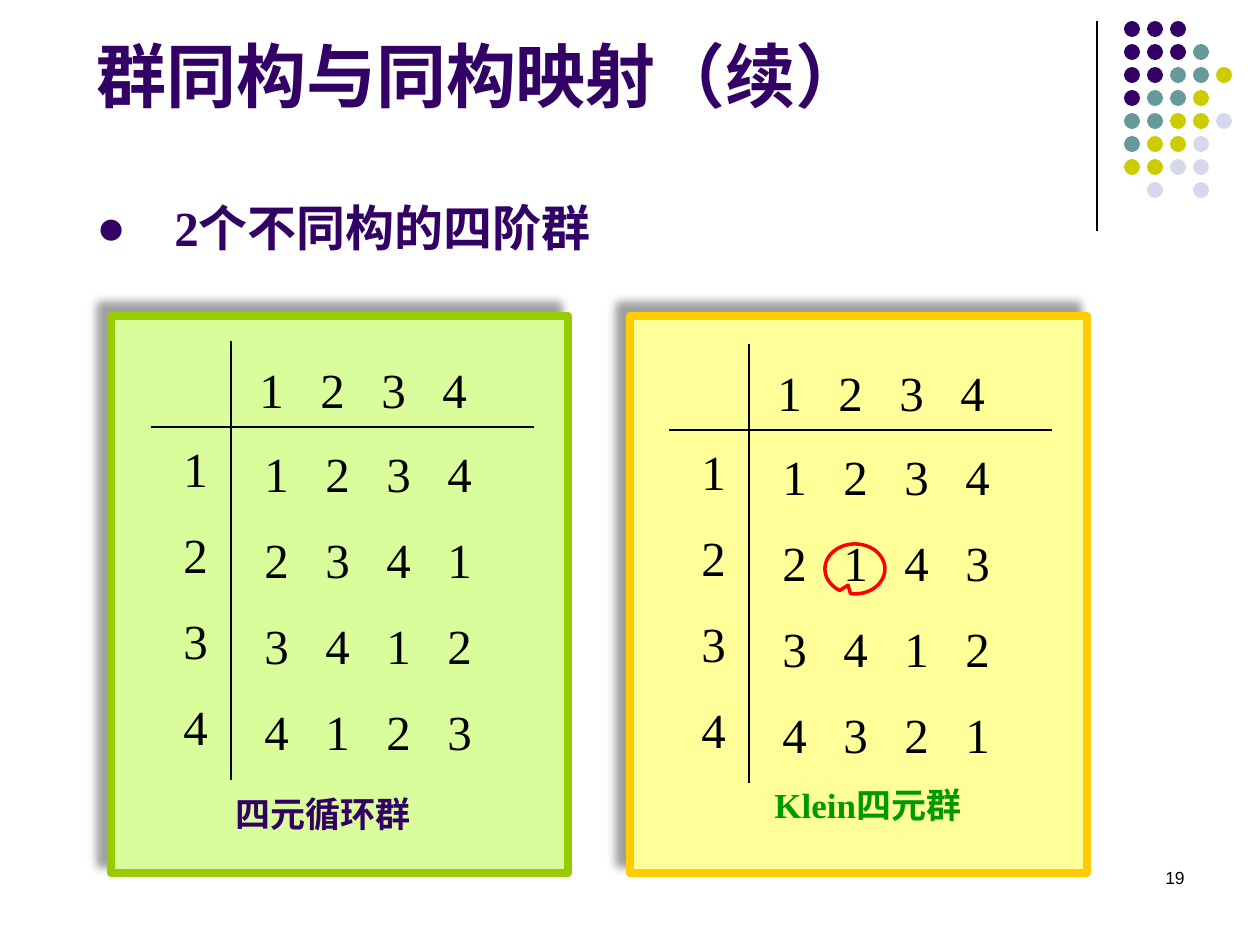
"""Build a slide comparing the two non-isomorphic groups of order four."""
from lxml.etree import SubElement
from pptx import Presentation
from pptx.dml.color import RGBColor
from pptx.enum.shapes import MSO_CONNECTOR, MSO_SHAPE
from pptx.enum.text import MSO_ANCHOR, PP_ALIGN
from pptx.oxml.ns import qn
from pptx.util import Emu, Pt

TITLE = "群同构与同构映射（续）"
HEADING = "2个不同构的四阶群"
PAGE = "19"
ELEMENTS = ["1", "2", "3", "4"]
GROUPS = [
    {"panel": 111, "grid": (151, 341), "fill": "DAFD9B", "line": "99CC00",
     "rows": ["1234", "2341", "3412", "4123"],
     "caption": "四元循环群", "caption_at": (223, 786), "caption_color": "330066"},
    {"panel": 630, "grid": (669, 344), "fill": "FFFF99", "line": "FFCC00",
     "rows": ["1234", "2143", "3412", "4321"],
     "caption": "Klein四元群", "caption_at": (762, 777), "caption_color": "009900"},
]
DOTS = ["PPP", "PPPT", "PPTTY", "PTTY", "TTYYL", "TYYL", "YYLL", " L L"]
THEME = {
    "P": "330066", "T": "669999", "Y": "CCCC00", "L": "D8D8EC",
    "ink": "000000", "mark": "FF0000", "shadow": "808080",
    "title": 40, "body": 28, "caption": 20, "page": 10,
    "serif": "Times New Roman", "sans": "Arial", "cjk": "Noto Sans CJK SC",
}
PX = 914400 / 126
ROW_GAP = 15.6
COLUMN_PITCH = 61


def px(value):
    return Emu(round(value * PX))


def color(value):
    return RGBColor.from_string(value)


def add_text(slide, box, lines, size, fill, font=THEME["serif"], bold=False,
             anchor=MSO_ANCHOR.TOP, align=PP_ALIGN.LEFT, bullet=False, tabs=()):
    text_frame = slide.shapes.add_textbox(*map(px, box)).text_frame
    text_frame.word_wrap = True
    text_frame.vertical_anchor = anchor
    text_frame.text = "\n".join(lines)
    for index, paragraph in enumerate(text_frame.paragraphs):
        paragraph.alignment = align
        if index:
            paragraph.space_before = Pt(ROW_GAP)
        properties = paragraph._p.get_or_add_pPr()
        if bullet:
            properties.set("marL", str(px(78)))
            properties.set("indent", str(px(-78)))
            SubElement(properties, qn("a:buFont"), typeface=THEME["sans"])
            SubElement(properties, qn("a:buChar"), char="●")
        if tabs:
            tab_list = SubElement(properties, qn("a:tabLst"))
            for position in tabs:
                SubElement(tab_list, qn("a:tab"), pos=str(px(position)), algn="l")
        for run in paragraph.runs:
            run.font.size = Pt(size)
            run.font.bold = bold
            run.font.color.rgb = color(fill)
            run.font.name = font
            SubElement(run._r.get_or_add_rPr(), qn("a:ea"), typeface=THEME["cjk"])


def add_line(slide, *ends):
    line = slide.shapes.add_connector(MSO_CONNECTOR.STRAIGHT, *map(px, ends))
    line.line.color.rgb = color(THEME["ink"])
    line.line.width = Pt(0.75)
    SubElement(line._element.spPr, qn("a:effectLst"))


def add_shape(slide, kind, box, fill=None, line=None, width=0):
    shape = slide.shapes.add_shape(kind, *map(px, box))
    shape.shadow.inherit = False
    if fill:
        shape.fill.solid()
        shape.fill.fore_color.rgb = color(fill)
    else:
        shape.fill.background()
    if line:
        shape.line.color.rgb = color(line)
        shape.line.width = Pt(width)
    else:
        shape.line.fill.background()
    return shape


def add_panel(slide, group):
    panel = add_shape(slide, MSO_SHAPE.RECTANGLE, (group["panel"], 316, 457, 557),
                      group["fill"], group["line"], 4.5)
    effects = panel._element.spPr.find(qn("a:effectLst"))
    shadow = SubElement(effects, qn("a:outerShdw"), blurRad=str(Pt(5)),
                        dist=str(Pt(8.5)), dir="13500000", algn="ctr", rotWithShape="0")
    shade = SubElement(shadow, qn("a:srgbClr"), val=THEME["shadow"])
    SubElement(shade, qn("a:alpha"), val="75000")


def add_group_table(slide, group):
    left, top = group["grid"]
    size, ink = THEME["body"], THEME["ink"]
    tabs = [COLUMN_PITCH * step for step in range(1, len(ELEMENTS))]
    rows = ["\t".join(row) for row in group["rows"]]
    add_text(slide, (left + 101, top + 96, 265, 336), rows, size, ink, tabs=tabs)
    add_text(slide, (left + 20, top + 91, 72, 336), ELEMENTS, size, ink)
    add_text(slide, (left + 96, top + 12, 265, 72), ["\t".join(ELEMENTS)], size, ink, tabs=tabs)
    add_line(slide, left, top + 86, left + 383, top + 86)
    add_line(slide, left + 80, top, left + 80, top + 439)
    add_text(slide, (*group["caption_at"], 234, 54), [group["caption"]],
             THEME["caption"], group["caption_color"], bold=True)


def main():
    presentation = Presentation()
    presentation.slide_width, presentation.slide_height = px(1260), px(945)
    slide = presentation.slides.add_slide(presentation.slide_layouts[6])
    add_line(slide, 1097, 21, 1097, 231)
    for row, dots in enumerate(DOTS):
        for column, key in enumerate(dots):
            if key != " ":
                add_shape(slide, MSO_SHAPE.OVAL,
                          (1124 + 23 * column, 21 + 23 * row, 16, 16), THEME[key])
    add_text(slide, (84, 44, 840, 79), [TITLE], THEME["title"], THEME["P"],
             font=THEME["cjk"], bold=True, anchor=MSO_ANCHOR.BOTTOM)
    add_text(slide, (84, 168, 1040, 95), [HEADING], THEME["body"], THEME["P"],
             bold=True, anchor=MSO_ANCHOR.BOTTOM, bullet=True)
    for group in GROUPS:
        add_panel(slide, group)
        add_group_table(slide, group)
    mark = add_shape(slide, MSO_SHAPE.OVAL_CALLOUT, (825, 544, 60, 50),
                     line=THEME["mark"], width=2)
    mark.adjustments[0], mark.adjustments[1] = -0.115, 0.326
    add_text(slide, (903, 861, 294, 63), [PAGE], THEME["page"], THEME["ink"],
             font=THEME["sans"], align=PP_ALIGN.RIGHT)
    presentation.save("out.pptx")


if __name__ == "__main__":
    main()
